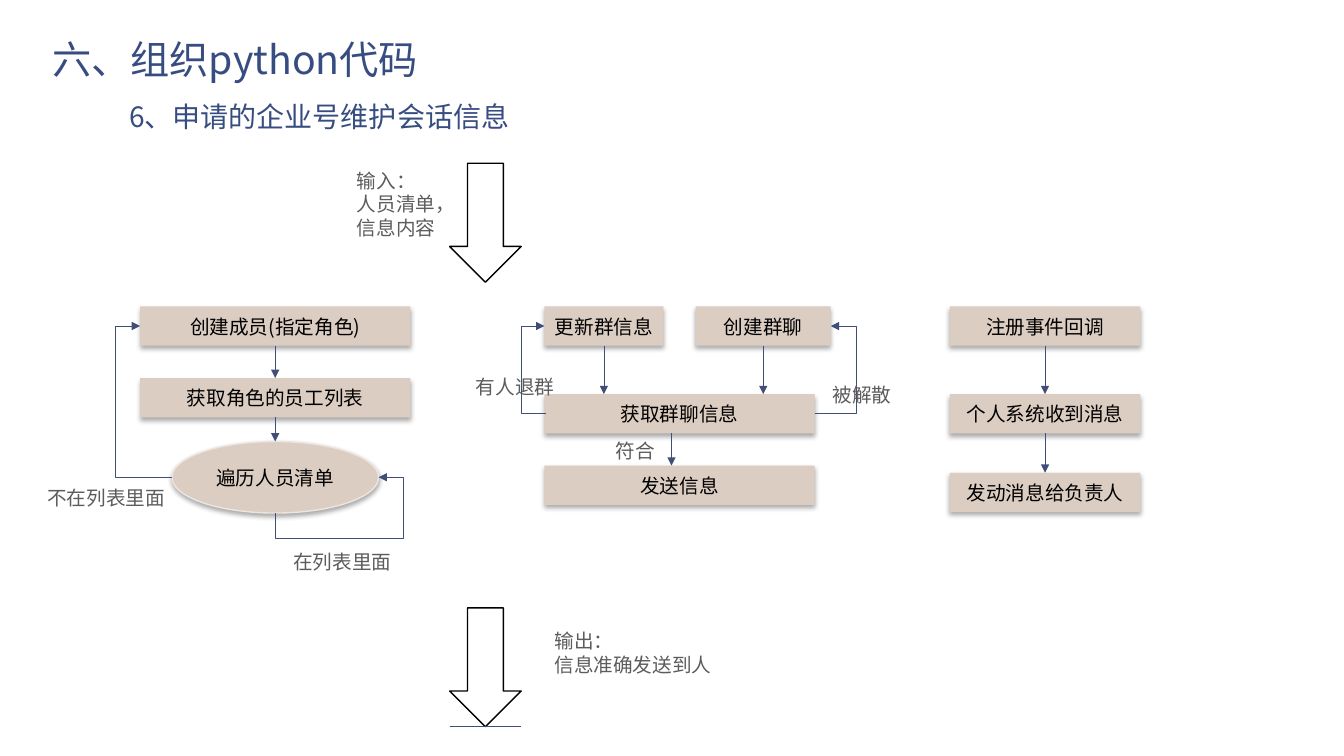
from lxml import etree
from pptx import Presentation
from pptx import util as u
from pptx.dml.color import RGBColor
from pptx.enum import shapes, text
from pptx.oxml import parse_xml
from pptx.oxml.ns import nsdecls, qn

FONT = "Noto Sans CJK SC"
NAVY = RGBColor(0x37, 0x4C, 0x81)
LINK = RGBColor(0x41, 0x4E, 0x77)
SAND = RGBColor(0xDC, 0xCD, 0xC2)
RIM = RGBColor(0xED, 0xE5, 0xDF)
GREY = RGBColor(0x5C, 0x5C, 0x5C)
BLACK = RGBColor(0, 0, 0)
STEP_H = 0.39
TOP = 3.04
TOP_MID = TOP + STEP_H / 2
TOP, BOTTOM = 3.04, 2
SHADOW = (
    f'<a:effectLst {nsdecls("a")}><a:outerShdw blurRad="44450" dist="27940" '
    'dir="5400000" algn="ctr" rotWithShape="0"><a:srgbClr val="000000">'
    '<a:alpha val="32000"/></a:srgbClr></a:outerShdw></a:effectLst>')


def inches(*lengths):
    return [u.Inches(n) for n in lengths]


def style(p, size, color, spacing):
    p.line_spacing = spacing
    p.font.size = u.Pt(size)
    p.font.color.rgb = color
    p.font.name = FONT
    props = p._p.get_or_add_pPr().get_or_add_defRPr()
    etree.SubElement(props, qn("a:ea"), typeface=FONT)


def heading(slide, box, words, size):
    tf = slide.shapes.add_textbox(*inches(*box)).text_frame
    tf.word_wrap = True
    tf.vertical_anchor = text.MSO_ANCHOR.BOTTOM
    tf.margin_left = tf.margin_right = u.Inches(0.13)
    tf.margin_top = tf.margin_bottom = u.Inches(0.07)
    tf.text = words
    style(tf.paragraphs[0], size, NAVY, 0.85)


def label(slide, x, y, w, *lines):
    h = 0.1 + 0.24 * len(lines)
    tf = slide.shapes.add_textbox(*inches(x, y, w, h)).text_frame
    tf.word_wrap = True
    tf.text = "\n".join(lines)
    for p in tf.paragraphs:
        style(p, 14, GREY, u.Pt(17))


def step(slide, x, y, w, words, h=STEP_H, kind=shapes.MSO_SHAPE.RECTANGLE):
    sp = slide.shapes.add_shape(kind, *inches(x, y, w, h))
    sp.fill.solid()
    sp.fill.fore_color.rgb = SAND
    if kind == shapes.MSO_SHAPE.OVAL:
        sp.line.color.rgb = RIM
        sp.line.width = u.Pt(1)
    else:
        sp.line.fill.background()
    sp._element.spPr.append(parse_xml(SHADOW))
    tf = sp.text_frame
    tf.word_wrap = True
    tf.vertical_anchor = text.MSO_ANCHOR.MIDDLE
    tf.text = words
    p = tf.paragraphs[0]
    p.alignment = text.PP_ALIGN.CENTER
    style(p, 14, BLACK, u.Pt(17))
    return sp


def connector(slide, kind, start, end, arrow="tailEnd"):
    cxn = slide.shapes.add_connector(kind, *inches(*start, *end))
    cxn.line.color.rgb = LINK
    cxn.line.width = u.Pt(0.5)
    if arrow:
        etree.SubElement(cxn.line._get_or_add_ln(), qn(f"a:{arrow}"), type="triangle")
    etree.SubElement(cxn._element.spPr, qn("a:effectLst"))
    return cxn


def straight(slide, start, end, arrow="tailEnd"):
    return connector(slide, shapes.MSO_CONNECTOR.STRAIGHT, start, end, arrow)


def bend(slide, preset, start, end, fractions, arrow="tailEnd"):
    """Elbow whose turns lie at the given fractions of its width and height."""
    cxn = connector(slide, shapes.MSO_CONNECTOR.ELBOW, start, end, arrow)
    geom = cxn._element.spPr.find(qn("a:prstGeom"))
    geom.set("prst", preset)
    guides = geom.find(qn("a:avLst"))
    for i, fraction in enumerate(fractions, 1):
        etree.SubElement(guides, qn("a:gd"), name=f"adj{i}",
                         fmla=f"val {round(fraction * 100000)}")


def side_loop(slide, start, end, turn_x):
    bend(slide, "bentConnector3", start, end,
         [(turn_x - start[0]) / (end[0] - start[0])])


def down(slide, upper, lower):
    """Arrow from the bottom middle of one step to the top middle of the next."""
    cxn = straight(slide, (0, 0), (1, 1))
    cxn.begin_connect(upper, 4 if upper.auto_shape_type == shapes.MSO_SHAPE.OVAL else BOTTOM)
    cxn.end_connect(lower, 0)


def drop(slide, upper, y):
    """Arrow from the bottom middle of a step straight down to height y."""
    x = (upper.left + upper.width // 2) / u.Inches(1)
    straight(slide, (x, TOP + STEP_H), (x, y)).begin_connect(upper, BOTTOM)


def block_arrow(slide, x, y):
    sp = slide.shapes.add_shape(shapes.MSO_SHAPE.DOWN_ARROW, *inches(x, y, 0.71, 1.18))
    sp.shadow.inherit = False
    sp.fill.background()
    sp.line.color.rgb = BLACK
    sp.line.width = u.Pt(1)


def member_flow(slide, x, w):
    mid = x + w / 2
    oval_w, oval_h, oval_y = 2.05, 0.71, 4.38
    left, right = mid - oval_w / 2, mid + oval_w / 2
    oval_mid, oval_end = oval_y + oval_h / 2, oval_y + oval_h
    create = step(slide, x, TOP, w, "创建成员(指定角色)")
    staff = step(slide, x, 3.75, w, "获取角色的员工列表")
    check = step(slide, left, oval_y, oval_w, "遍历人员清单", oval_h, shapes.MSO_SHAPE.OVAL)
    bend(slide, "bentConnector4", (right, oval_mid), (mid, oval_end),
         [-0.25 / (oval_w / 2), (oval_h / 2 + 0.25) / (oval_h / 2)], "headEnd")
    side_loop(slide, (left, oval_mid), (x, TOP_MID), x - 0.25)
    down(slide, create, staff)
    down(slide, staff, check)
    label(slide, x + 1.42, 5.4, 1.36, "在列表里面")
    label(slide, x - 1.02, 4.77, 1.52, "不在列表里面")


def chat_flow(slide, x, w):
    fetch_y, send_y = 3.91, 4.62
    fetch_mid = fetch_y + STEP_H / 2
    step(slide, x, fetch_y, w, "获取群聊信息")
    straight(slide, (x + 1.26, fetch_y + STEP_H), (x + 1.26, send_y))
    step(slide, x, send_y, w, "发送信息")
    label(slide, x + 0.61, 4.3, 0.66, "符合")
    create = step(slide, x + 1.5, TOP, 1.34, "创建群聊")
    side_loop(slide, (x + w, fetch_mid), (x + 2.84, TOP_MID), x + 3.09)
    label(slide, x + 2.76, 3.75, 0.87, "被解散")
    update = step(slide, x, TOP, 1.18, "更新群信息")
    side_loop(slide, (x + 0.02, fetch_mid), (x, TOP_MID), x - 0.23)
    label(slide, x - 0.78, 3.67, 1.02, "有人退群")
    for upper in (update, create):
        drop(slide, upper, fetch_y)


def callback_flow(slide, x, w):
    rows = ((TOP, "注册事件回调"), (3.91, "个人系统收到消息"), (4.69, "发动消息给负责人"))
    steps = [step(slide, x, y, w, words) for y, words in rows]
    for upper, lower in zip(steps, steps[1:]):
        down(slide, upper, lower)


def input_output(slide, x):
    block_arrow(slide, x, 1.62)
    label(slide, x - 1.02, 1.62, 1.81, "输入：", "人员清单，", "信息内容")
    block_arrow(slide, x, 6.03)
    label(slide, x + 0.94, 6.19, 1.81, "输出：", "信息准确发送到人")
    straight(slide, (x, 7.21), (x + 0.71, 7.21), None)


def main():
    prs = Presentation()
    prs.slide_width, prs.slide_height = inches(13.33, 7.5)
    slide = prs.slides.add_slide(prs.slide_layouts[6])
    heading(slide, (0.39, 0.08, 12.56, 0.81), "六、组织python代码", 28)
    heading(slide, (1.15, 0.85, 11.8, 0.54), "6、申请的企业号维护会话信息", 20)
    member_flow(slide, 1.39, 2.68)
    chat_flow(slide, 5.4, 2.68)
    input_output(slide, 4.46)
    callback_flow(slide, 9.42, 1.89)
    prs.save("out.pptx")


if __name__ == "__main__":
    main()
